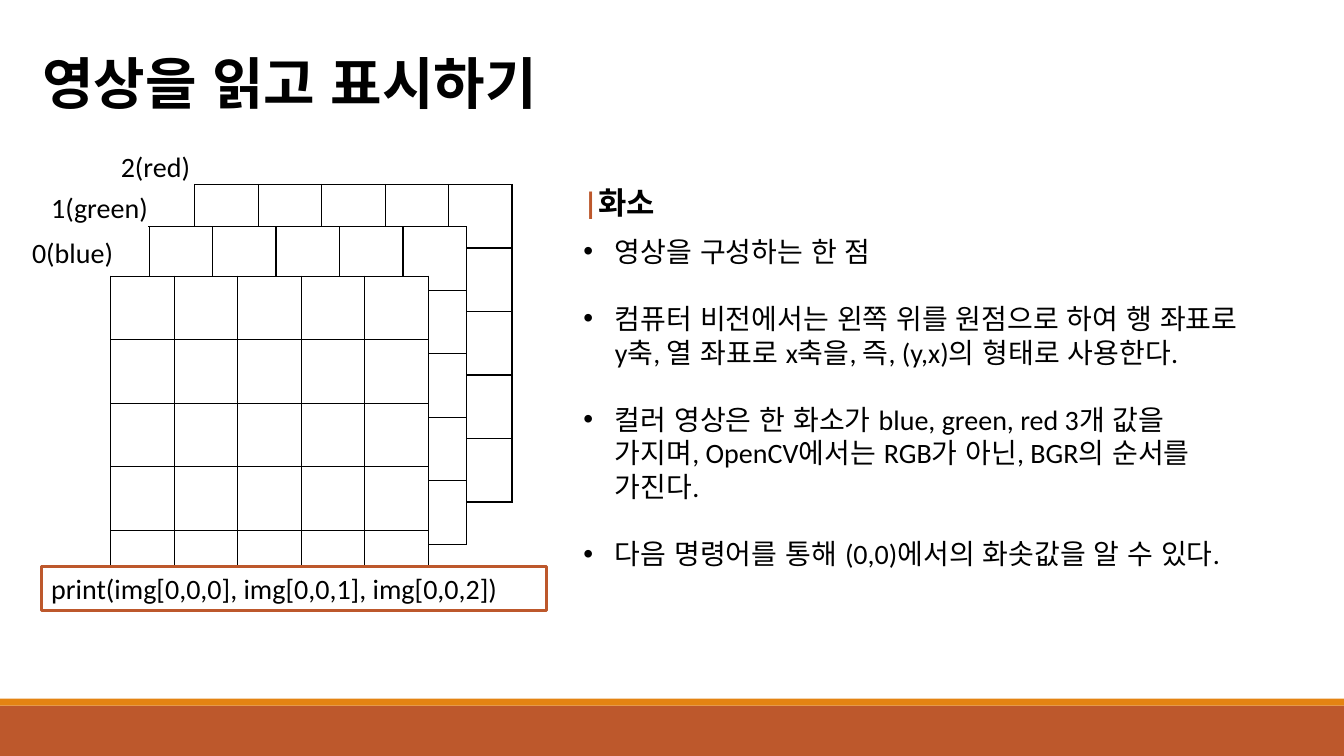
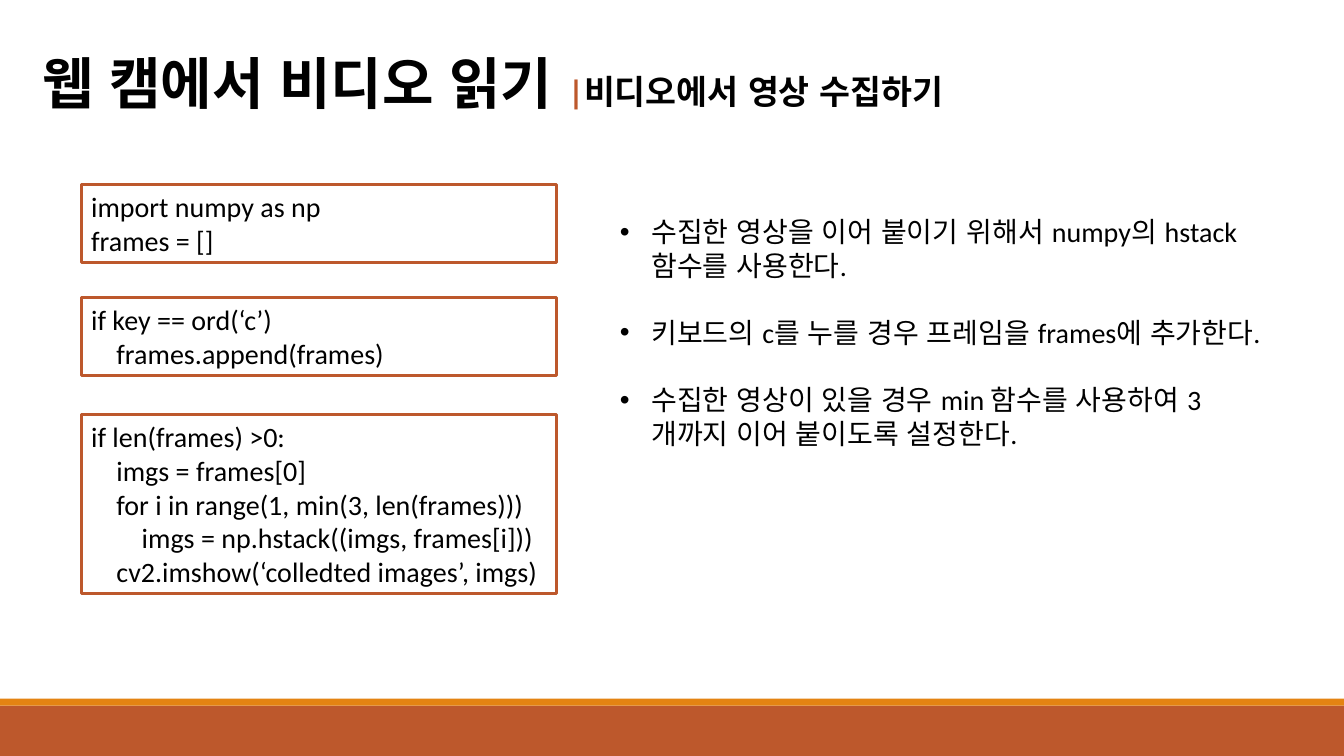
from dataclasses import dataclass

import lxml.etree
import pptx
import pptx.dml.color
import pptx.enum.lang
import pptx.enum.shapes
import pptx.enum.text
import pptx.oxml.ns
import pptx.presentation
import pptx.shapes.autoshape
import pptx.slide
import pptx.text.text
import pptx.util

Pt = pptx.util.Pt
RGBColor = pptx.dml.color.RGBColor
qn = pptx.oxml.ns.qn

BLACK = RGBColor(0x00, 0x00, 0x00)
WHITE = RGBColor(0xFF, 0xFF, 0xFF)
RUST = RGBColor(0xBD, 0x58, 0x2C)
ORANGE = RGBColor(0xE4, 0x83, 0x12)

LATIN_FONT = "Calibri"
KOREAN_FONT = "Noto Sans CJK KR"
BODY_SIZE = 20
BODY_LINE = 24
BULLET_INDENT = 22.5
GRID_COUNT = 5
GRID_CELL = 45.36


@dataclass(frozen=True)
class Frame:
    """Left, top, width and height in points."""
    left: float
    top: float
    width: float
    height: float

    def lengths(self) -> tuple:
        return Pt(self.left), Pt(self.top), Pt(self.width), Pt(self.height)


@dataclass(frozen=True)
class Span:
    text: str
    size: float = BODY_SIZE
    bold: bool = False
    color: RGBColor = BLACK
    font: str = LATIN_FONT


@dataclass(frozen=True)
class Line:
    """One paragraph with its exact line pitch."""
    spans: tuple[Span, ...]
    pitch: float
    before: float = 0
    bullet: bool = False


@dataclass(frozen=True)
class Channel:
    """A pixel grid and the label beside it."""
    label: str
    label_left: float
    label_top: float
    grid_left: float
    grid_top: float


@dataclass(frozen=True)
class CodeBox:
    frame: Frame
    code: str
    fill: RGBColor | None = None


BANDS = (
    (Frame(0, 504, 960, 36), RUST),
    (Frame(0, 499, 960, 5), ORANGE),
)

# Back to front
CHANNELS = (
    Channel("2(red)", 79.2, 103, 139, 131.8),
    Channel("1(green)", 29.5, 132.5, 106.5, 162),
    Channel("0(blue)", 15.8, 165, 79.2, 197.3),
)

PIXEL_POINTS = (
    "영상을 구성하는 한 점",
    "컴퓨터 비전에서는 왼쪽 위를 원점으로 하여 행 좌표로 y축, 열 좌표로 x축을, 즉, (y,x)의 형태로 사용한다.",
    "컬러 영상은 한 화소가 blue, green, red 3개 값을 가지며, OpenCV에서는 RGB가 아닌, BGR의 순서를 가진다.",
    "다음 명령어를 통해 (0,0)에서의 화솟값을 알 수 있다.",
)

WEBCAM_POINTS = (
    "수집한 영상을 이어 붙이기 위해서 numpy의 hstack 함수를 사용한다.",
    "키보드의 c를 누를 경우 프레임을 frames에 추가한다.",
    "수집한 영상이 있을 경우 min 함수를 사용하여 3개까지 이어 붙이도록 설정한다.",
)

PRINT_BOX = CodeBox(
    Frame(29.5, 404.8, 361, 31.5), "print(img[0,0,0], img[0,0,1], img[0,0,2])", WHITE)

WEBCAM_BOXES = (
    CodeBox(Frame(58, 131.8, 339.5, 55.7), "import numpy as np\nframes = []"),
    CodeBox(Frame(58, 212.4, 339.5, 55.7),
            "if key == ord(‘c’)\n    frames.append(frames)"),
    CodeBox(Frame(58, 296, 339.5, 128),
            "if len(frames) >0:\n"
            "    imgs = frames[0]\n"
            "    for i in range(1, min(3, len(frames)))\n"
            "        imgs = np.hstack((imgs, frames[i]))\n"
            "    cv2.imshow(‘colledted images’, imgs)"),
)


def format_run(run, span: Span) -> None:
    run.font.size = Pt(span.size)
    run.font.bold = span.bold
    run.font.color.rgb = span.color
    run.font.name = span.font
    run.font.language_id = pptx.enum.lang.MSO_LANGUAGE_ID.KOREAN
    properties = run.font._element
    lxml.etree.SubElement(properties, qn("a:ea")).set("typeface", KOREAN_FONT)


def write_line(para: pptx.text.text._Paragraph, line: Line) -> None:
    para.alignment = pptx.enum.text.PP_ALIGN.LEFT
    para.line_spacing = Pt(line.pitch)
    para.space_before = Pt(line.before)
    if line.bullet:
        properties = para._p.get_or_add_pPr()
        properties.set("marL", str(Pt(BULLET_INDENT)))
        properties.set("indent", str(-Pt(BULLET_INDENT)))
        lxml.etree.SubElement(properties, qn("a:buFont")).set("typeface", "Arial")
        lxml.etree.SubElement(properties, qn("a:buChar")).set("char", "•")
    for span in line.spans:
        run = para.add_run()
        run.text = span.text
        format_run(run, span)


def bullet_lines(points: tuple[str, ...], first_gap: float = 0) -> list[Line]:
    return [Line((Span(text),), BODY_LINE, BODY_LINE if index else first_gap, True)
            for index, text in enumerate(points)]


def add_body(slide: pptx.slide.Slide, frame: Frame, lines: list[Line]) -> None:
    text_frame = slide.shapes.add_textbox(*frame.lengths()).text_frame
    text_frame.word_wrap = True
    for index, line in enumerate(lines):
        para = text_frame.add_paragraph() if index else text_frame.paragraphs[0]
        write_line(para, line)


def add_rectangle(slide: pptx.slide.Slide, frame: Frame,
                  fill: RGBColor | None) -> pptx.shapes.autoshape.Shape:
    box = slide.shapes.add_shape(
        pptx.enum.shapes.MSO_SHAPE.RECTANGLE, *frame.lengths())
    box.shadow.inherit = False
    box.line.fill.background()
    if fill is None:
        box.fill.background()
    else:
        box.fill.solid()
        box.fill.fore_color.rgb = fill
    return box


def add_code_box(slide: pptx.slide.Slide, item: CodeBox) -> None:
    box = add_rectangle(slide, item.frame, item.fill)
    box.line.color.rgb = RUST
    box.line.width = Pt(2.25)
    box.text_frame.word_wrap = True
    box.text_frame.text = item.code
    for para in box.text_frame.paragraphs:
        para.alignment = pptx.enum.text.PP_ALIGN.LEFT
        for run in para.runs:
            format_run(run, Span(run.text))


def add_border(cell) -> None:
    properties = cell._tc.get_or_add_tcPr()
    for index, side in enumerate(("a:lnL", "a:lnR", "a:lnT", "a:lnB")):
        border = lxml.etree.Element(qn(side), w=str(Pt(1)))
        fill = lxml.etree.SubElement(border, qn("a:solidFill"))
        lxml.etree.SubElement(fill, qn("a:srgbClr")).set("val", str(BLACK))
        properties.insert(index, border)


def add_grid(slide: pptx.slide.Slide, left: float, top: float) -> None:
    side = GRID_COUNT * GRID_CELL
    table = slide.shapes.add_table(
        GRID_COUNT, GRID_COUNT, *Frame(left, top, side, side).lengths()).table
    table.first_row = False
    table.horz_banding = False
    for cell in table.iter_cells():
        cell.fill.solid()
        cell.fill.fore_color.rgb = WHITE
        add_border(cell)


def add_label(slide: pptx.slide.Slide, channel: Channel) -> None:
    frame = Frame(channel.label_left, channel.label_top, 96, 32)
    text_frame = slide.shapes.add_textbox(*frame.lengths()).text_frame
    text_frame.word_wrap = True
    text_frame.text = channel.label
    format_run(text_frame.paragraphs[0].runs[0], Span(channel.label))


def add_titled_slide(deck: pptx.presentation.Presentation, width: float,
                     heading: str, extra: tuple[Span, ...] = ()) -> pptx.slide.Slide:
    slide = deck.slides.add_slide(deck.slide_layouts[5])
    title = slide.shapes.title
    title.left, title.top, title.width, title.height = Frame(
        23, 26, width, 55.4).lengths()
    title.text_frame.word_wrap = True
    title.text_frame.auto_size = pptx.enum.text.MSO_AUTO_SIZE.NONE
    title.text_frame.vertical_anchor = pptx.enum.text.MSO_ANCHOR.TOP
    main = Span(heading, 40, True, font=KOREAN_FONT)
    write_line(title.text_frame.paragraphs[0], Line((main, *extra), 53))
    return slide


def move_bands_to_master(deck: pptx.presentation.Presentation,
                         slide: pptx.slide.Slide) -> None:
    for index, (frame, color) in enumerate(BANDS):
        band = add_rectangle(slide, frame, color)
        band.element.nvSpPr.cNvPr.set("id", str(100 + index))
        deck.slide_master.shapes.element.insert(2 + index, band.element)


def barred(text: str, size: float) -> tuple[Span, Span]:
    return Span("|", size, True, RUST), Span(text, size, True)


def build_pixel_slide(deck: pptx.presentation.Presentation) -> None:
    slide = add_titled_slide(deck, 406.8, "영상을 읽고 표시하기")
    move_bands_to_master(deck, slide)
    heading = Line(barred("화소", 22), 27)
    add_body(slide, Frame(409.7, 126.7, 487.4, 310.3),
             [heading, *bullet_lines(PIXEL_POINTS, 10)])
    # Grids first, so that every label stays in front
    for channel in CHANNELS:
        add_grid(slide, channel.grid_left, channel.grid_top)
    for channel in CHANNELS:
        add_label(slide, channel)
    add_code_box(slide, PRINT_BOX)


def build_webcam_slide(deck: pptx.presentation.Presentation) -> None:
    slide = add_titled_slide(deck, 724.3, "웹 캠에서 비디오 읽기 ",
                             barred("비디오에서 영상 수집하기", 24))
    add_body(slide, Frame(435.6, 149.8, 481, 200.9), bullet_lines(WEBCAM_POINTS))
    for item in WEBCAM_BOXES:
        add_code_box(slide, item)


def main() -> None:
    deck = pptx.Presentation()
    deck.slide_width, deck.slide_height = Pt(960), Pt(540)
    build_pixel_slide(deck)
    build_webcam_slide(deck)
    deck.save("out.pptx")


if __name__ == "__main__":
    main()
